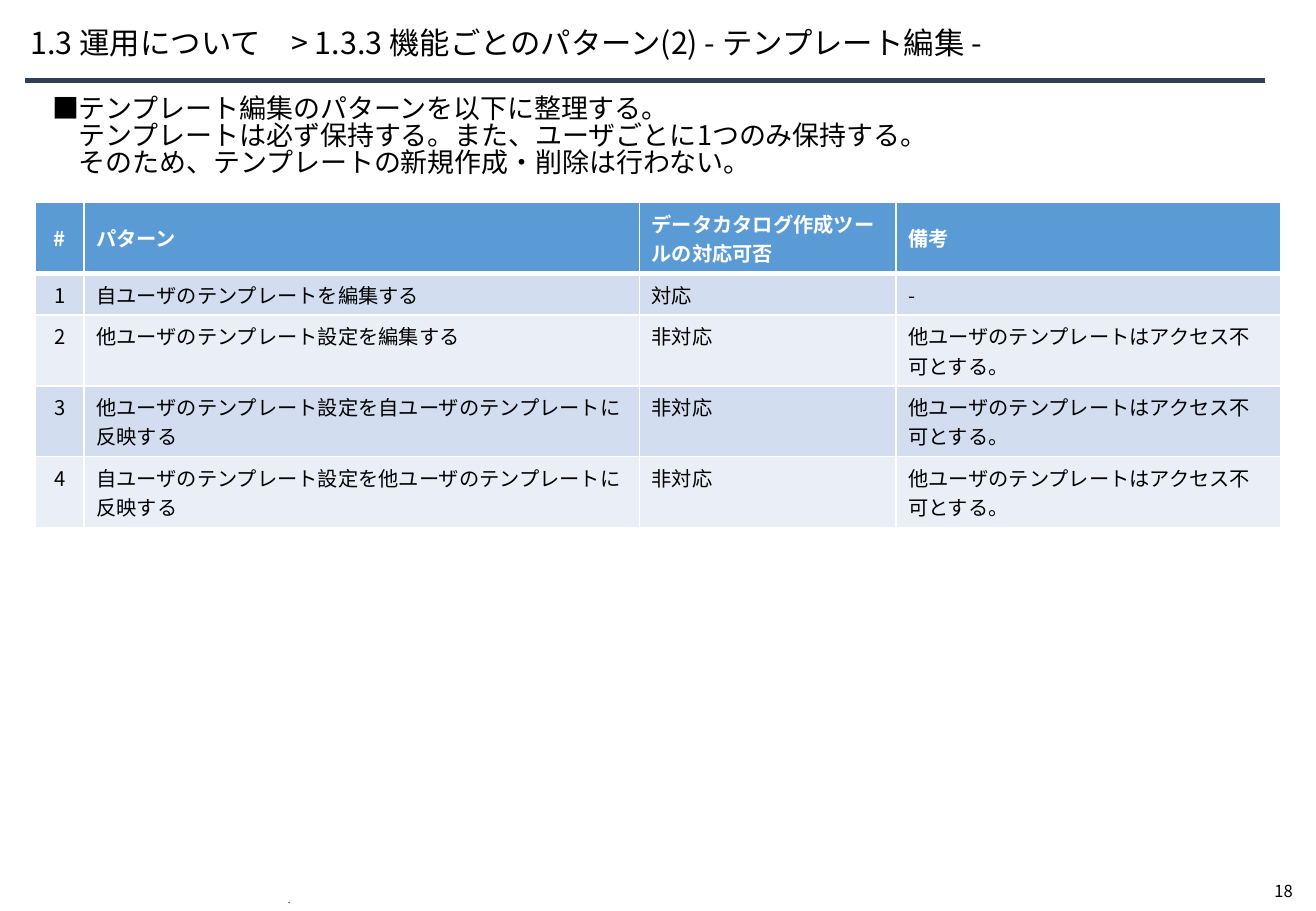
from lxml.etree import SubElement
from pptx import Presentation
from pptx.dml.color import RGBColor
from pptx.enum.shapes import MSO_CONNECTOR, MSO_SHAPE
from pptx.enum.text import MSO_ANCHOR as Anchor, MSO_AUTO_SIZE as AutoSize, PP_ALIGN as Align
from pptx.oxml.ns import qn
from pptx.util import Cm, Pt

FONT = "Noto Sans CJK JP"
BLACK = RGBColor(0x00, 0x00, 0x00)
WHITE = RGBColor(0xFF, 0xFF, 0xFF)
NAVY = RGBColor(0x33, 0x3F, 0x50)
HEADER_BLUE = RGBColor(0x5B, 0x9B, 0xD5)
BAND_DARK = RGBColor(0xD2, 0xDE, 0xEF)
BAND_LIGHT = RGBColor(0xEA, 0xEF, 0xF7)

TITLE = "1.3 運用について\u3000> 1.3.3 機能ごとのパターン(2) - テンプレート編集 -".replace("\u3000", "　")
SUMMARY = [
    "■テンプレート編集のパターンを以下に整理する。",
    "　テンプレートは必ず保持する。また、ユーザごとに1つのみ保持する。",
    "　そのため、テンプレートの新規作成・削除は行わない。",
]
NO_ACCESS = "他ユーザのテンプレートはアクセス不可とする。"
PATTERNS = [
    ("#", "パターン", "データカタログ作成ツールの対応可否", "備考"),
    ("1", "自ユーザのテンプレートを編集する", "対応", "-"),
    ("2", "他ユーザのテンプレート設定を編集する", "非対応", NO_ACCESS),
    ("3", "他ユーザのテンプレート設定を自ユーザのテンプレートに反映する", "非対応", NO_ACCESS),
    ("4", "自ユーザのテンプレート設定を他ユーザのテンプレートに反映する", "非対応", NO_ACCESS),
]
COLUMN_WIDTHS = [1.02, 11.61, 5.36, 8.05]
ROW_HEIGHTS = [1.48, 0.87, 1.48, 1.48, 1.48]


def write(frame, lines, size, color=BLACK, bold=False, align=Align.LEFT, spacing=None):
    """Fill a text frame with one paragraph per line."""
    for index, line in enumerate(lines):
        paragraph = frame.add_paragraph() if index else frame.paragraphs[0]
        paragraph.alignment = align
        paragraph.line_spacing = spacing
        run = paragraph.add_run()
        run.text = line
        run.font.size = Pt(size)
        run.font.bold = bold
        run.font.color.rgb = color
        run.font.name = FONT
        SubElement(run._r.get_or_add_rPr(), qn("a:ea"), typeface=FONT)


def add_title(slide):
    title = slide.shapes.title
    title.left, title.top, title.width, title.height = Cm(0.64), Cm(0.33), Cm(25.2), Cm(1.19)
    frame = title.text_frame
    frame.auto_size = AutoSize.NONE
    frame.vertical_anchor = Anchor.MIDDLE
    frame.margin_left = 0
    write(frame, [TITLE], 18, spacing=0.9)


def add_rule(slide):
    y = Cm(1.68)
    rule = slide.shapes.add_connector(MSO_CONNECTOR.STRAIGHT, Cm(0.53), y, Cm(26.44), y)
    rule.line.color.rgb = NAVY
    rule.line.width = Pt(3)
    SubElement(rule._element.spPr, qn("a:effectLst"))


def add_label(slide, text, left, top, width, height, wrap, anchor, **text_format):
    label = slide.shapes.add_textbox(Cm(left), Cm(top), Cm(width), Cm(height))
    label.text_frame.word_wrap = wrap
    label.text_frame.vertical_anchor = anchor
    write(label.text_frame, [text], **text_format)


def set_borders(cell, top, bottom):
    """Draw white borders; top and bottom are widths in points."""
    properties = cell._tc.get_or_add_tcPr()
    for side, width in (("L", 1), ("R", 1), ("T", top), ("B", bottom)):
        border = SubElement(properties, qn(f"a:ln{side}"), w=str(Pt(width)))
        fill = SubElement(border, qn("a:solidFill"))
        SubElement(fill, qn("a:srgbClr"), val=str(WHITE))


def add_pattern_table(slide):
    table = slide.shapes.add_table(
        len(PATTERNS), len(COLUMN_WIDTHS), Cm(0.74), Cm(4.24),
        Cm(sum(COLUMN_WIDTHS)), Cm(sum(ROW_HEIGHTS))).table
    for column, width in zip(table.columns, COLUMN_WIDTHS):
        column.width = Cm(width)
    for row, height in zip(table.rows, ROW_HEIGHTS):
        row.height = Cm(height)

    for r, pattern in enumerate(PATTERNS):
        header = r == 0
        band = HEADER_BLUE if header else (BAND_DARK if r % 2 else BAND_LIGHT)
        for c, text in enumerate(pattern):
            cell = table.cell(r, c)
            set_borders(cell, top=3 if r == 1 else 1, bottom=3 if header else 1)
            cell.fill.solid()
            cell.fill.fore_color.rgb = band
            cell.vertical_anchor = Anchor.MIDDLE if header else Anchor.TOP
            write(cell.text_frame, [text], 12, color=WHITE if header else BLACK,
                  bold=header, align=Align.LEFT if c else Align.CENTER)


def add_summary(slide):
    summary = slide.shapes.add_shape(
        MSO_SHAPE.RECTANGLE, Cm(0.84), Cm(1.9), Cm(25.81), Cm(2.31))
    summary.shadow.inherit = False
    summary.fill.solid()
    summary.fill.fore_color.rgb = WHITE
    summary.line.fill.background()
    summary.text_frame.word_wrap = True
    summary.text_frame.vertical_anchor = Anchor.TOP
    write(summary.text_frame, SUMMARY, 16, spacing=0.83)


def main():
    deck = Presentation()
    deck.slide_width, deck.slide_height = Cm(27.51), Cm(19.05)
    slide = deck.slides.add_slide(deck.slide_layouts[5])

    # Page frame: number, rule and footer mark
    add_label(slide, "18", 26.39, 18.29, 1.09, 0.69, wrap=False, anchor=Anchor.TOP, size=9.8)
    add_rule(slide)
    add_label(slide, ".", 5.77, 18.69, 16, 0.36, wrap=True, anchor=Anchor.BOTTOM,
              size=5.7, spacing=Pt(1.6))

    # Content
    add_title(slide)
    add_pattern_table(slide)
    add_summary(slide)

    deck.save("out.pptx")


if __name__ == "__main__":
    main()
